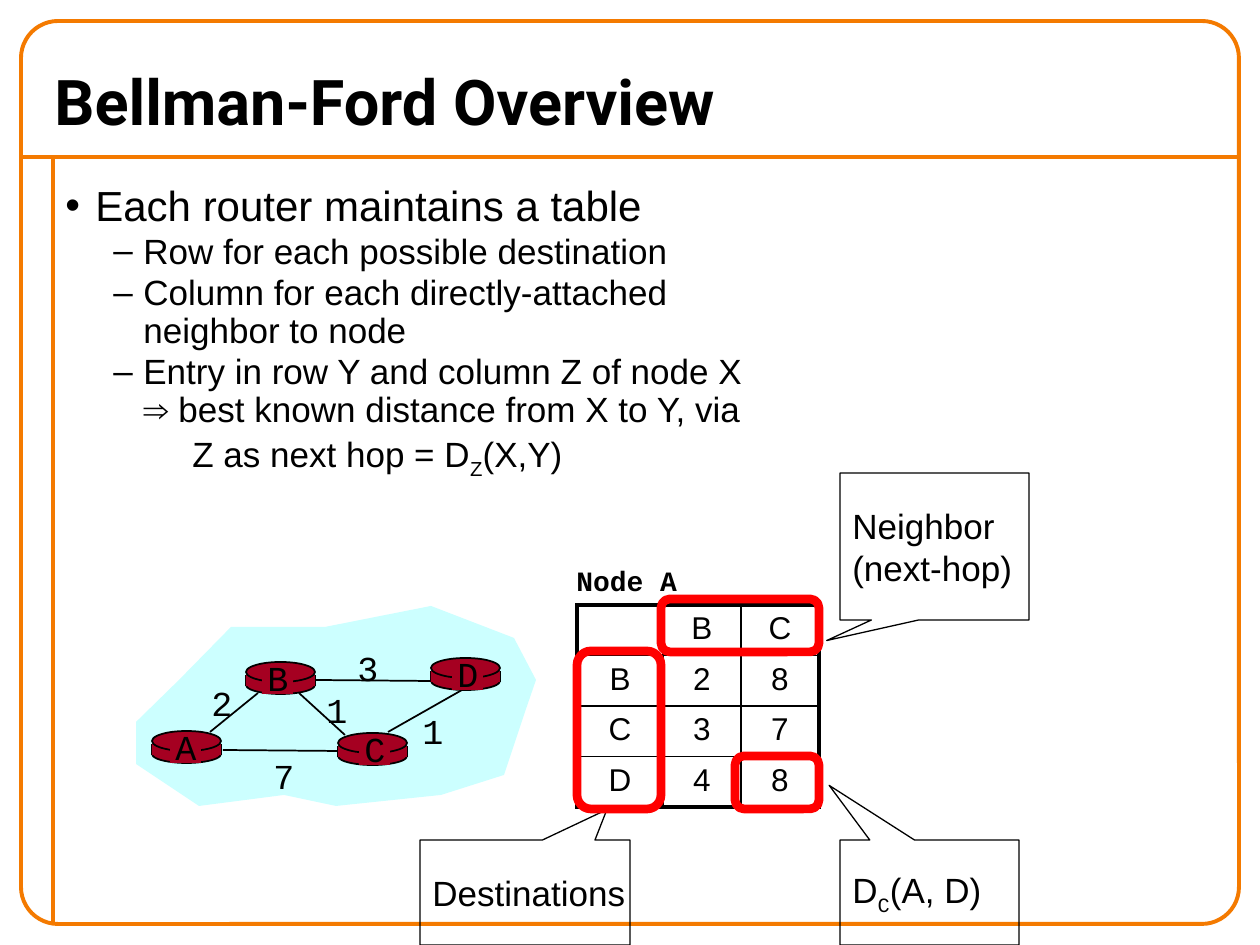
from lxml.etree import SubElement as Sub
from pptx import Presentation
from pptx.dml.color import RGBColor as Rgb
from pptx.enum.shapes import MSO_CONNECTOR as Conn, MSO_SHAPE as Geo
from pptx.enum.text import MSO_ANCHOR as Anchor, PP_ALIGN as Align
from pptx.oxml.ns import qn
from pptx.util import Pt

SCALE = 914400 / 126
COLORS = {"ink": "000000", "paper": "FFFFFF", "frame": "F47A00",
          "cloud": "CCFFFF", "router": "A50021", "mark": "FF0000"}
MONO = "Courier New"


def px(*vals):
    return [round(v * SCALE) for v in vals]


def rgb(name):
    return Rgb.from_string(COLORS[name])


def paint(shape, fill=None, line=None, width=1):
    shape.shadow.inherit = False
    if fill:
        shape.fill.solid()
        shape.fill.fore_color.rgb = rgb(fill)
    else:
        shape.fill.background()
    if line:
        shape.line.color.rgb = rgb(line)
        shape.line.width = Pt(width)
    else:
        shape.line.fill.background()
    return shape


def draw(on, geo, box, adj=(), **style):
    shape = on.add_shape(geo, *px(*box))
    for i, val in enumerate(adj):
        shape.adjustments[i] = val
    return paint(shape, **style)


def link(on, start, end, color="ink", width=1):
    line = on.add_connector(Conn.STRAIGHT, *px(*start, *end))
    line.line.color.rgb = rgb(color)
    line.line.width = Pt(width)
    Sub(line._element.spPr, qn("a:effectLst"))


def write(frame, text, size=20, font="Arial", bold=False, align=Align.LEFT,
          left=0, hang=0, bullet=None, before=0, lead=None, low=None):
    """Add a paragraph; parts between underscores are subscripts in font low."""
    para = frame.add_paragraph() if frame.text else frame.paragraphs[0]
    para.alignment, para.space_before = align, Pt(before)
    if lead:
        para.line_spacing = lead
    props = para._p.get_or_add_pPr()
    for key, val in zip(("marL", "indent"), px(left, -hang)):
        props.set(key, str(val))
    if bullet:
        Sub(props, qn("a:buFont")).set("typeface", "Arial")
        Sub(props, qn("a:buChar")).set("char", bullet)
    for i, part in enumerate(text.split("_")):
        run = para.add_run()
        run.text = part
        run.font.size, run.font.bold = Pt(size), bold
        run.font.name = low if i % 2 and low else font
        run.font.color.rgb = rgb("ink")
        if i % 2:
            run.font._element.set("baseline", "-25000")


def label(on, box, text=None, wrap=False, anchor=Anchor.TOP, **fmt):
    frame = on.add_textbox(*px(*box)).text_frame
    frame.word_wrap, frame.vertical_anchor = wrap, anchor
    if text:
        write(frame, text, **fmt)
    return frame


def frame(on, x, y, w, h):
    rule = y + 136
    link(on, (x, rule), (x + w, rule), "frame", 2.25)
    link(on, (x + 32, rule), (x + 32, y + h), "frame", 2.25)
    draw(on, Geo.ROUNDED_RECTANGLE, (x, y, w, h), [0.041],
         line="frame", width=2.25)


def points(on, box):
    body = label(on, box, wrap=True)
    write(body, "Each router maintains a table", size=24, left=30, hang=30,
          bullet="•", lead=0.9)
    for text in ("Row for each possible destination",
                 "Column for each directly-attached neighbor to node",
                 "Entry in row Y and column Z of node X "
                 "⇒ best known distance from X to Y, via"):
        write(body, text, left=78, hang=30, bullet="–", before=2, lead=0.9)
    write(body, "Z as next hop = D_Z_(X,Y)", left=127, before=2, lead=0.9)


def router(on, x, y, name, shift):
    """Draw a disc whose name stands on a patch, shift px from its left."""
    part = on.add_group_shape().shapes
    edge = {"fill": "router", "line": "ink"}
    draw(part, Geo.OVAL, (x, y + 14, 69, 18), **edge)
    for side in (x, x + 69):
        link(part, (side, y + 13), (side, y + 24))
    draw(part, Geo.RECTANGLE, (x, y + 13, 69, 11), fill="router")
    draw(part, Geo.OVAL, (x, y, 69, 20), **edge)
    draw(part, Geo.RECTANGLE, (x + shift, y + 3, 31, 29), fill="router")
    label(part, (x + shift - 9, y - 12, 50, 54), name, font=MONO,
          align=Align.CENTER)


def network(on, x, y):
    rim = [(0, 158), (0, 116), (43, 74), (95, 21), (189, 21), (295, 0),
           (378, 32), (400, 74), (389, 106), (368, 169), (305, 189),
           (200, 200), (148, 189), (63, 200)]
    pen = on.build_freeform(x + rim[0][0], y + rim[0][1], scale=SCALE)
    pen.add_line_segments([(x + a, y + b) for a, b in rim[1:]], close=True)
    paint(pen.convert_to_shape(), fill="cloud")
    links = [((74, 126), (122, 87), "2", (63, 69)),
             ((163, 87), (209, 129), "1", (178, 76)),
             ((87, 144), (204, 145), "7", (125, 142)),
             ((177, 74), (295, 75), "3", (209, 34)),
             ((252, 126), (326, 84), "1", (274, 97))]
    for (a, b), (c, d), *_ in links:
        link(on, (x + a, y + b), (x + c, y + d))
    for name, a, b, shift in (("A", 16, 125, 18), ("C", 202, 127, 21),
                              ("B", 110, 56, 16), ("D", 295, 52, 21)):
        router(on, x + a, y + b, name, shift)
    for _, _, cost, (a, b) in links:
        label(on, (x + a, y + b, 43, 50), cost, font=MONO, align=Align.CENTER)


def border(cell, sides):
    props = cell._tc.get_or_add_tcPr()
    for i, (side, width) in enumerate(sides.items()):
        line = props.makeelement(qn("a:ln" + side), {"w": str(Pt(width))})
        fill = Sub(line, qn("a:solidFill"))
        Sub(fill, qn("a:srgbClr")).set("val", COLORS["ink"])
        props.insert(i, line)


def costs(on, x, y, rows, wides, high):
    label(on, (x - 13, y - 48, 127, 47), "Node A", size=16, font=MONO, bold=True)
    last, end = len(rows) - 1, len(wides) - 1
    table = on.add_table(last + 1, end + 1,
                         *px(x, y, sum(wides), high * len(rows))).table
    table.first_row = table.horz_banding = False
    for col, wide in zip(table.columns, px(*wides)):
        col.width = wide
    for r, row in enumerate(rows):
        table.rows[r].height = px(high)[0]
        for c, text in enumerate(row):
            cell = table.cell(r, c)
            if text and (r == 0 or c == 0):
                cell.fill.solid()
                cell.fill.fore_color.rgb = rgb("paper")
            else:
                cell.fill.background()
            if text:
                write(cell.text_frame, text, size=18, align=Align.CENTER)
            outer = {"L": c == 0, "R": c == end, "T": r == 0, "B": r == last}
            border(cell, {k: 2.25 if v else 1 for k, v in outer.items()})


def callout(on, box, tip, lines, fill=None):
    shape = draw(on, Geo.RECTANGULAR_CALLOUT, box, tip,
                 fill=fill, line="ink", width=0.75)
    body = shape.text_frame
    body.word_wrap, body.vertical_anchor = False, Anchor.MIDDLE
    for text in lines:
        write(body, text, low=MONO)


def main():
    deck = Presentation()
    deck.slide_width, deck.slide_height = px(1260, 945)
    on = deck.slides.add_slide(deck.slide_layouts[6]).shapes
    frame(on, 21, 21, 1218, 903)
    label(on, (42, 53, 1197, 95), "Bellman-Ford Overview", wrap=True,
          anchor=Anchor.MIDDLE, size=36, font="Roboto", bold=True)
    points(on, (53, 179, 714, 683))
    network(on, 136, 606)
    costs(on, 577, 605, [" BC".split(" ")[:1] + ["B", "C"], ["B", "2", "8"],
                         ["C", "3", "7"], ["D", "4", "8"]], [86, 78, 78], 50)
    callout(on, (840, 473, 189, 147), (-0.57, 0.64),
            ["Neighbor", "(next-hop)"], fill="paper")
    callout(on, (420, 840, 210, 105), (0.39, -0.79), ["Destinations"])
    callout(on, (840, 840, 179, 105), (-0.56, -1.02), ["D_C_(A, D)"])
    for box in ((661, 599, 158, 53), (577, 651, 84, 158), (735, 756, 84, 53)):
        draw(on, Geo.ROUNDED_RECTANGLE, box, [0.167], line="mark", width=5)
    deck.save("out.pptx")


if __name__ == "__main__":
    main()
